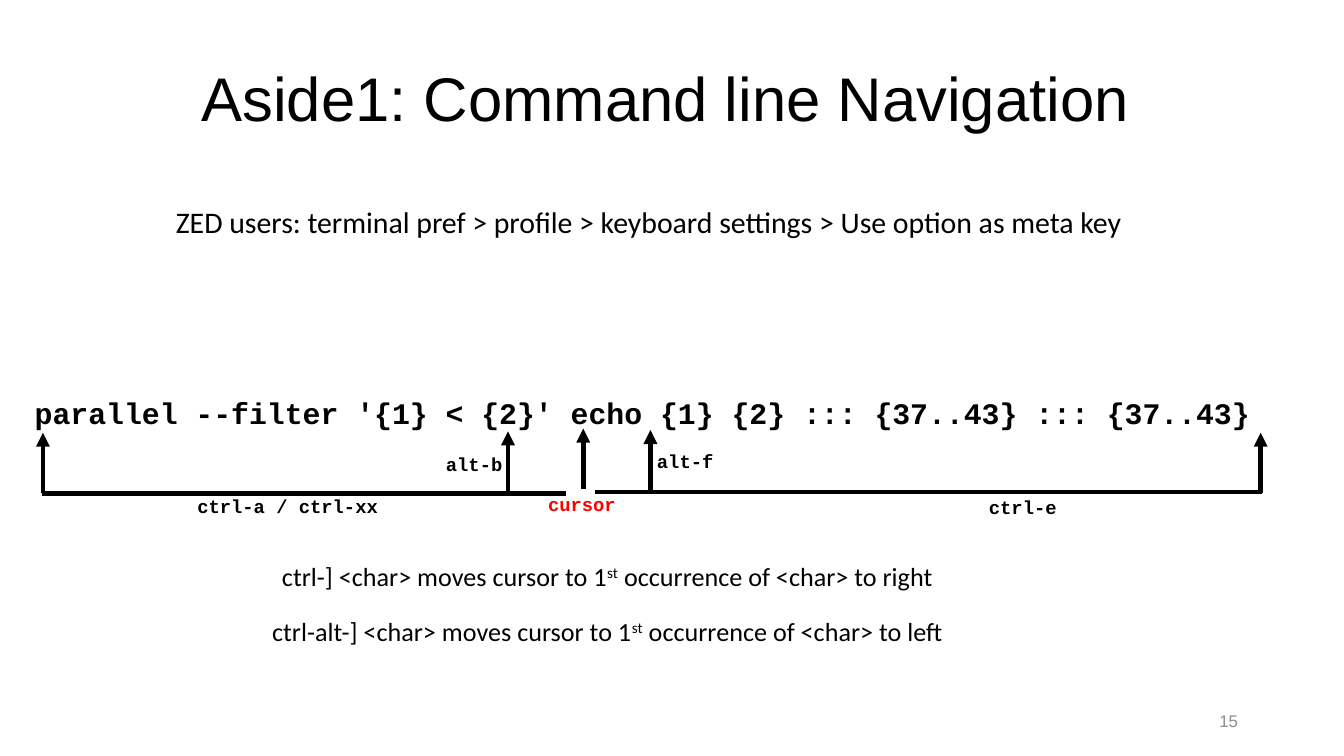
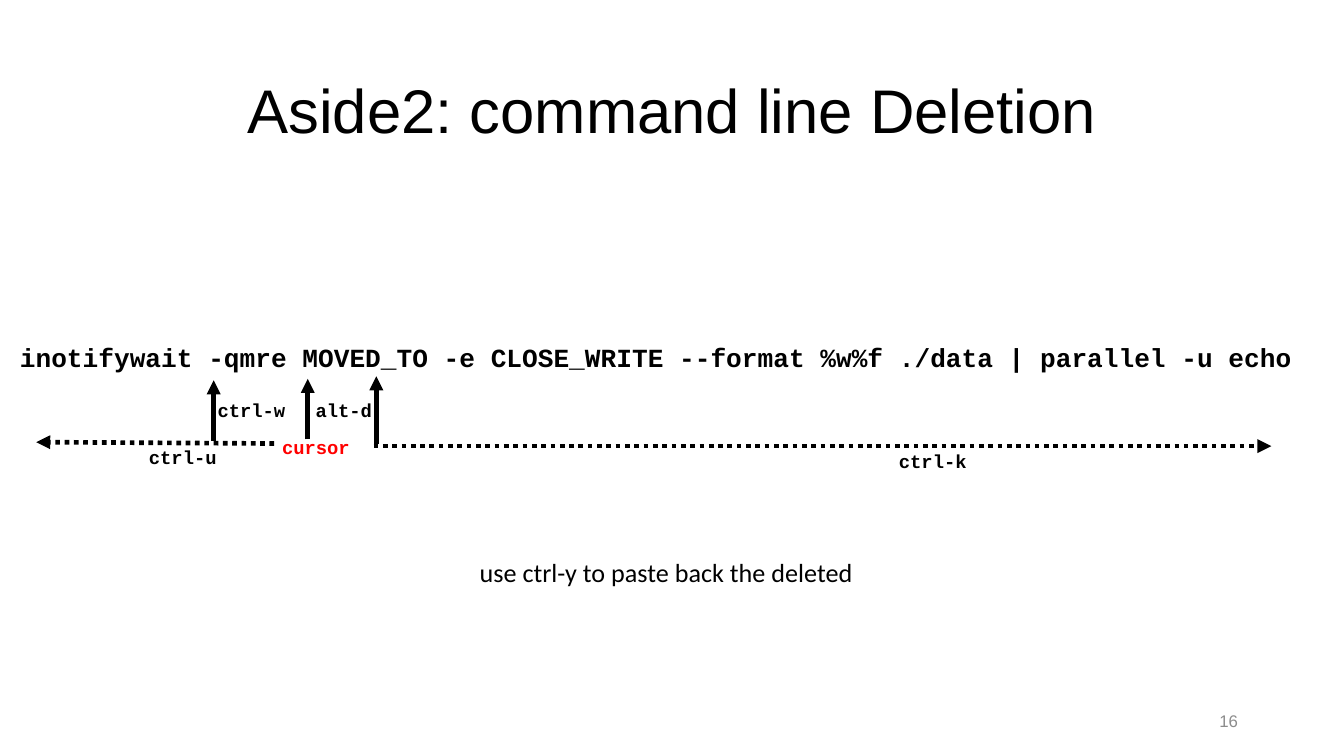
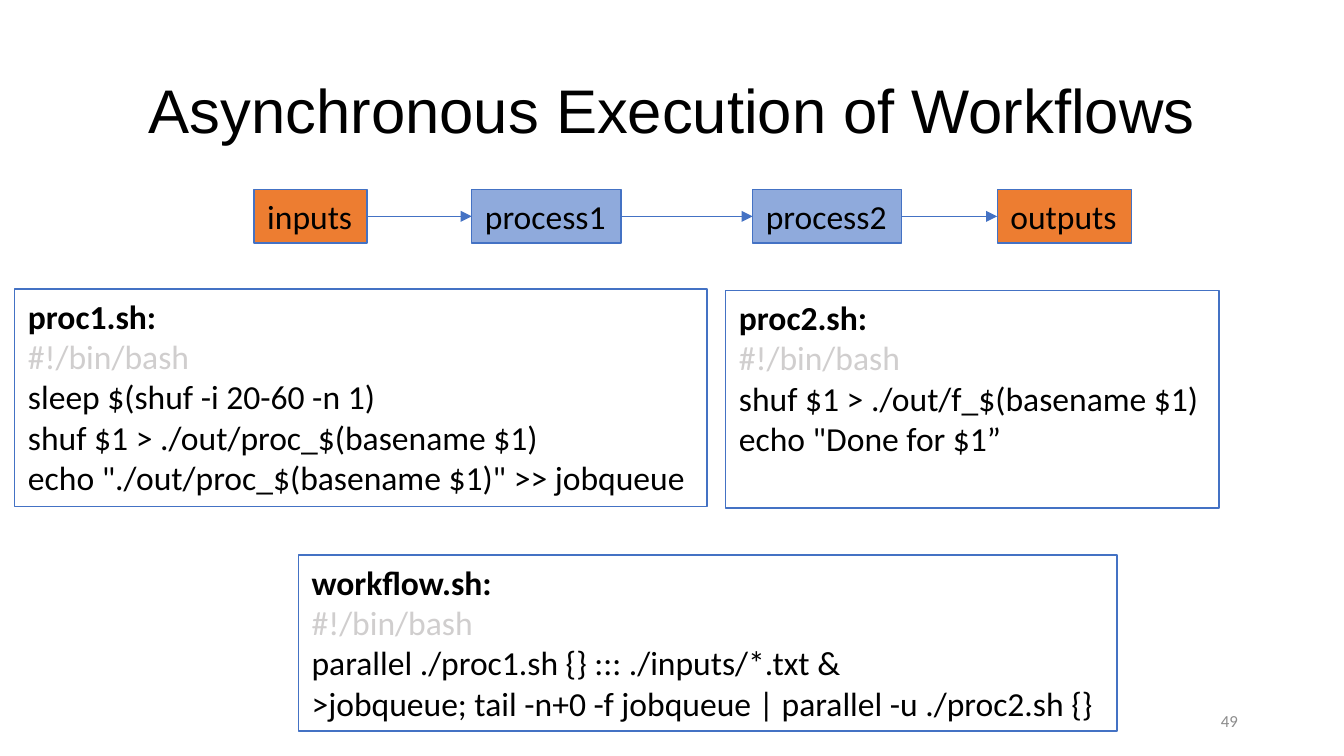
from itertools import pairwise

from lxml import etree
from pptx import Presentation
from pptx import util as u
from pptx.dml.color import RGBColor
from pptx.enum import dml, shapes, text
from pptx.oxml.ns import qn

BLACK = RGBColor(0x00, 0x00, 0x00)
RED = RGBColor(0xFF, 0x00, 0x00)
GREY = RGBColor(0x8C, 0x8C, 0x8C)
PALE_GREY = RGBColor(0xD0, 0xCE, 0xCE)
BLUE = RGBColor(0x44, 0x72, 0xC4)
LIGHT_BLUE = RGBColor(0x8F, 0xAA, 0xDC)
ORANGE = RGBColor(0xED, 0x7D, 0x31)

SANS, BODY, MONO = "Arial", "Calibri", "Courier New"
COLUMNS, ROWS = 100, 56.25
LEFT, CENTER, RIGHT = (text.PP_ALIGN.LEFT, text.PP_ALIGN.CENTER,
                       text.PP_ALIGN.RIGHT)
TOP, MIDDLE = text.MSO_ANCHOR.TOP, text.MSO_ANCHOR.MIDDLE


def write(frame, paragraphs, size=14, font=BODY, color=BLACK, bold=False,
          align=LEFT, anchor=TOP, wrap=False, grow=True, spacing=None):
    """Fill a frame; a paragraph is a string or a list of (string, overrides)."""
    frame.word_wrap = wrap
    frame.vertical_anchor = anchor
    frame.auto_size = (text.MSO_AUTO_SIZE.SHAPE_TO_FIT_TEXT if grow
                       else text.MSO_AUTO_SIZE.NONE)
    for index, pieces in enumerate(paragraphs):
        paragraph = frame.add_paragraph() if index else frame.paragraphs[0]
        paragraph.alignment = align
        if spacing:
            paragraph.line_spacing = spacing
        for words, change in [(pieces, {})] if isinstance(pieces, str) else pieces:
            run = paragraph.add_run()
            run.text = words
            run.font.name = font
            run.font.size = u.Pt(size)
            run.font.bold = change.get("bold", bold)
            run.font.color.rgb = change.get("color", color)
            if change.get("raised"):
                run._r.get_or_add_rPr().set("baseline", "30000")


class Deck:
    """Holds the shared style and the current slide; lengths are grid units."""

    def __init__(self):
        self.prs = Presentation()
        self.prs.slide_width, self.prs.slide_height = u.Inches(10), u.Inches(5.625)
        self.column = self.prs.slide_width / COLUMNS
        self.row = self.prs.slide_height / ROWS
        self.slide = None

    def place(self, left, top, width, height):
        return (round(left * self.column), round(top * self.row),
                round(width * self.column), round(height * self.row))

    def new_slide(self, title, number, title_at=(6.9, 3), number_font=SANS):
        self.slide = self.prs.slides.add_slide(self.prs.slide_layouts[6])
        self.text((*title_at, 86.2, 10.9), title, size=33, font=SANS, align=CENTER,
                  anchor=MIDDLE, wrap=True, grow=False, spacing=0.9)
        self.text((70.6, 52.1, 22.5, 3), number, size=9, font=number_font,
                  color=GREY, align=RIGHT, anchor=MIDDLE, wrap=True, grow=False)

    def text(self, area, *paragraphs, **style):
        box = self.slide.shapes.add_textbox(*self.place(*area))
        write(box.text_frame, paragraphs, **style)

    def key(self, left, top, name, color=BLACK):
        """A small key name, as wide as its letters need."""
        self.text((left, top, 2 + 0.86 * len(name), 2.7), name,
                  size=10.1, font=MONO, bold=True, color=color)

    def line(self, start, end, color=BLACK, weight=2.5, dotted=False, arrow=False):
        connector = self.slide.shapes.add_connector(
            shapes.MSO_CONNECTOR.STRAIGHT,
            *self.place(*start, *end))
        connector.line.color.rgb = color
        connector.line.width = u.Pt(weight)
        if dotted:
            connector.line.dash_style = dml.MSO_LINE.ROUND_DOT
        if arrow:
            etree.SubElement(connector.line._get_or_add_ln(), qn("a:tailEnd"),
                             type="triangle")
        etree.SubElement(connector._element.spPr, qn("a:effectLst"))
        return connector

    def pointer(self, x, foot, length=4.5):
        """An arrow that points up at the command."""
        self.line((x, foot), (x, foot - length), arrow=True)

    def box(self, area, *paragraphs, fill=None, **style):
        box = self.slide.shapes.add_shape(shapes.MSO_SHAPE.RECTANGLE,
                                          *self.place(*area))
        box.shadow.inherit = False
        if fill is None:
            box.fill.background()
        else:
            box.fill.solid()
            box.fill.fore_color.rgb = fill
        box.line.color.rgb = BLUE
        box.line.width = u.Pt(0.75)
        write(box.text_frame, paragraphs, size=18, **style)
        return box

    def flow(self, first, second):
        link = self.line((0, 0), (1, 1), color=BLUE, weight=0.5, arrow=True)
        link.begin_connect(first, 3)
        link.end_connect(second, 1)

    def script(self, area, name, *commands):
        self.box(area, [(name, {"bold": True})],
                 [("#!/bin/bash", {"color": PALE_GREY})], *commands,
                 wrap=True, grow=False)


def navigation(deck):
    deck.new_slide("Aside1: Command line Navigation", "15", title_at=(6.4, 2.1))
    deck.text((12.1, 14.7, 75.9, 3.7), "ZED users: terminal pref > profile > "
              "keyboard settings > Use option as meta key", size=16)
    deck.text((1.6, 28.9, 93.8, 3.7), "parallel --filter '{1} < {2}' echo {1} {2} "
              "::: {37..43} ::: {37..43}", size=16, font=MONO, bold=True)

    # Reach of the jumps on each side of the cursor
    deck.line((3.1, 36.7), (42.1, 36.7))
    deck.line((44.3, 36.6), (93.9, 36.6))
    for x, foot in ((3.2, 36.7), (37.8, 36.6), (43.4, 36.4), (48.4, 36.5),
                    (93.8, 36.7)):
        deck.pointer(x, foot)

    # Keys
    deck.key(39.8, 36.2, "cursor", color=RED)
    for left, top, name in ((13.7, 36.3, "ctrl-a / ctrl-xx"), (32.2, 33.2, "alt-b"),
                            (47.9, 33, "alt-f"), (72.6, 36.4, "ctrl-e")):
        deck.key(left, top, name)

    # Jumps to a character
    for area, keys, side in (((19.4, 41.2, 51.6, 3.4), "ctrl-]", "right"),
                             ((18.6, 45.3, 53.2, 3.4), "ctrl-alt-]", "left")):
        deck.text(area, [(f"{keys} <char> moves cursor to 1", {}),
                         ("st", {"raised": True}),
                         (f" occurrence of <char> to {side}", {})], align=CENTER)


def deletion(deck):
    deck.new_slide("Aside2: command line Deletion", "16")
    deck.text((0.5, 24.9, 97.2, 3.4), "inotifywait -qmre MOVED_TO -e CLOSE_WRITE "
              "--format %w%f ./data | parallel -u echo", font=MONO, bold=True)

    # Deleted stretches
    deck.line((20.4, 33), (2.7, 32.9), dotted=True, arrow=True)
    deck.line((27.8, 33.2), (94.6, 33.2), dotted=True, arrow=True)
    deck.pointer(15.9, 32.8)
    deck.pointer(22.9, 32.7)
    deck.pointer(28, 33, length=5)

    # Keys
    deck.key(20, 31.9, "cursor", color=RED)
    for left, top, name in ((10.1, 32.7, "ctrl-u"), (15.2, 29.2, "ctrl-w"),
                            (22.5, 29.2, "alt-d"), (65.9, 33, "ctrl-k")):
        deck.key(left, top, name)
    deck.text((34.7, 40.9, 30.5, 3.4), "use ctrl-y to paste back the deleted")


def workflows(deck):
    deck.new_slide("Asynchronous Execution of Workflows", "49", number_font=BODY)

    # Chain of steps
    steps = [deck.box((left, 14.1, width, 4), name, fill=fill)
             for name, left, width, fill in (("inputs", 18.9, 8.4, ORANGE),
                                             ("process1", 35.1, 11.1, LIGHT_BLUE),
                                             ("process2", 56, 11.1, LIGHT_BLUE),
                                             ("outputs", 74.2, 10, ORANGE))]
    for first, second in pairwise(steps):
        deck.flow(first, second)

    # Scripts
    deck.script((1.1, 21.5, 51.5, 16.2), "proc1.sh:",
                "sleep $(shuf -i 20-60 -n 1)",
                "shuf $1 > ./out/proc_$(basename $1)",
                'echo "./out/proc_$(basename $1)" >> jobqueue')
    deck.script((54, 21.6, 36.7, 16.2), "proc2.sh:",
                "shuf $1 > ./out/f_$(basename $1)",
                'echo "Done for $1”')
    deck.script((22.2, 41.3, 60.9, 13.1), "workflow.sh:",
                "parallel ./proc1.sh {} ::: ./inputs/*.txt &",
                ">jobqueue; tail -n+0 -f jobqueue | parallel -u ./proc2.sh {}")


def main():
    deck = Deck()
    for build in (navigation, deletion, workflows):
        build(deck)
    deck.prs.save("out.pptx")


if __name__ == "__main__":
    main()
